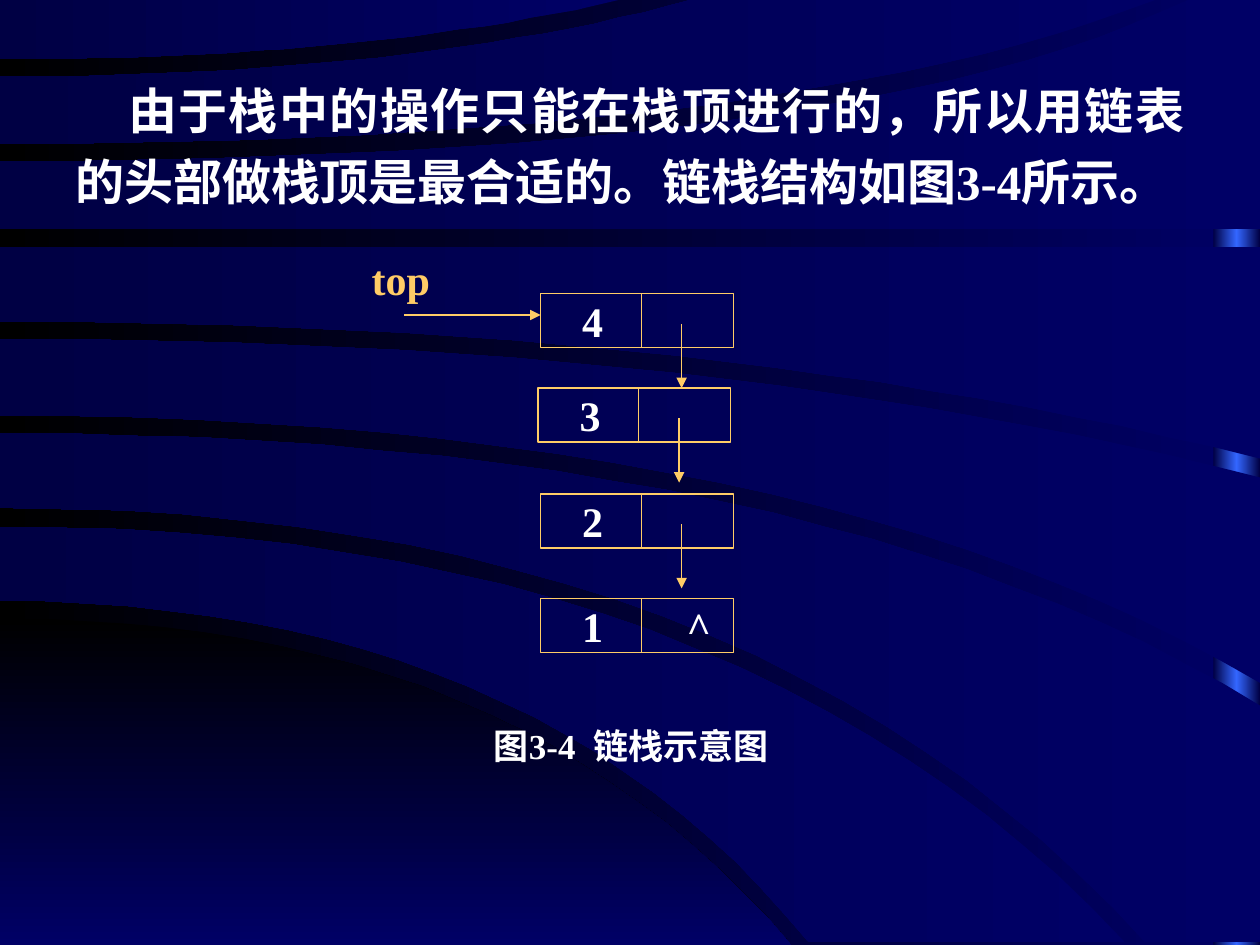
"""Build the slide on linked stacks: curved backdrop, paragraph and node diagram."""
from copy import deepcopy
from pptx import Presentation
from pptx import util as u
from pptx.dml.color import RGBColor
from pptx.enum import shapes, text
from pptx.oxml import ns
from lxml import etree

THEME = dict(
    font="Times New Roman", white="FFFFFF", gold="FFCC66",
    navy="000066", dusk="000044", black="000000", blue="3366FF",
    body=28, node=24, note=20, rule=0.75,
)

deck = Presentation()
deck.slide_width, deck.slide_height = u.Inches(10), u.Inches(7.5)
cell = deck.slide_width // 1000
slide = deck.slides.add_slide(deck.slide_layouts[6])
pool = slide.shapes
gold = RGBColor.from_string(THEME["gold"])


def blend(fill, node, names, angle):
    fill.gradient()
    fill.gradient_angle = angle
    stops = next(node.iter(ns.qn("a:gsLst")))
    while len(stops) < len(names):
        stops.append(deepcopy(stops[0]))
    for i, (stop, name) in enumerate(zip(fill.gradient_stops, names)):
        stop.position = i / (len(names) - 1)
        stop.color.rgb = RGBColor.from_string(THEME[name])


def style(frame, size, color, left=0, top=0):
    frame.word_wrap = True
    frame.margin_left = frame.margin_right = left * cell
    frame.margin_top = frame.margin_bottom = top * cell
    for run in frame.paragraphs[0].runs:
        run.font.name, run.font.bold = THEME["font"], True
        run.font.size = u.Pt(THEME[size])
        run.font.color.rgb = RGBColor.from_string(THEME[color])


blend(slide.background.fill, slide.element, ("navy", "black"), 180)

strip = pool.add_shape(shapes.MSO_SHAPE.RECTANGLE, 963 * cell, 0, 37 * cell, 750 * cell)
strip.shadow.inherit = False
strip.line.fill.background()
blend(strip.fill, strip._element, ("dusk", "blue", "dusk"), 180)

# Each edge: start height, bend, end column, end row
bands = [
    ((491, 410, 628, 750), (750, 314, 628, 750)),
    ((418, 585, 893, 748), (477, 422, 642, 748)),
    ((344, 645, 1000, 560), (403, 597, 909, 748)),
    ((269, 570, 1000, 379), (330, 642, 1000, 542)),
    ((196, 500, 1000, 196), (255, 570, 1000, 364)),
    ((128, 680, 943, 0), (182, 500, 1000, 182)),
    ((61, 328, 548, 0), (114, 622, 917, 0)),
    ((0, 245, 491, 0), (47, 288, 491, 0)),
]
steps = [i / 24 for i in range(25)]
for i, pair in enumerate(bands):
    over, under = [
        [(2 * t * (1 - t) * bend + t * t * x, y0 + (y - y0) * t * t) for t in steps]
        for y0, bend, x, y in pair
    ]
    ends = sorted((over[-1], under[-1]))
    corner = (ends[1][0], ends[0][1])
    pen = pool.build_freeform(*over[0], scale=cell)
    pen.add_line_segments(over[1:] + [corner] + under[::-1], close=True)
    band = pen.convert_to_shape()
    band.shadow.inherit = False
    band.line.fill.background()
    names, angle = (("navy", "dusk"), 180) if i else (("black", "navy"), 270)
    blend(band.fill, band._element, names, angle)

notes = [
    (50, 50, 900, 583, "body", "white", 10, 5,
     "由于栈中的操作只能在栈顶进行的，所以用链表的头部做栈顶是最合适的。链栈结构如图3-4所示。"),
    (392, 575, 226, 43, "note", "white", 0, 0, "图3-4  链栈示意图"),
    (295, 201, 82, 41, "node", "gold", 0, 0, "top"),
]
for x, y, w, h, size, color, left, top, words in notes:
    frame = pool.add_textbox(x * cell, y * cell, w * cell, h * cell).text_frame
    frame.text = words
    style(frame, size, color, left, top)
    if size == "body":
        para = frame.paragraphs[0]
        para.alignment = text.PP_ALIGN.JUSTIFY
        para.line_spacing, para.space_before = 1.2, u.Pt(7)
        para._p.get_or_add_pPr().set("indent", str(42 * cell))

wide, high = 153, 43
wires = [(321, 250, 429, 250, True)]
for x, y, words in [(429, 233, "4"), (427, 308, "3"), (429, 392, "2"), (429, 475, "1\t^")]:
    box = pool.add_shape(shapes.MSO_SHAPE.RECTANGLE, x * cell, y * cell, wide * cell, high * cell)
    box.shadow.inherit = False
    box.fill.background()
    box.line.color.rgb = gold
    box.line.width = u.Pt(THEME["rule"])
    frame = box.text_frame
    frame.text = words
    style(frame, "node", "white")
    frame.margin_left = 33 * cell
    frame.vertical_anchor = text.MSO_ANCHOR.MIDDLE
    para = frame.paragraphs[0]
    para.alignment = text.PP_ALIGN.LEFT
    wires.append((x + 80, y, x + 80, y + high, False))
    if "\t" in words:
        tabs = etree.SubElement(para._p.get_or_add_pPr(), ns.qn("a:tabLst"))
        etree.SubElement(tabs, ns.qn("a:tab"), pos=str(83 * cell), algn="l")
    else:
        wires.append((x + 112, y + 24, x + 112, y + 75, True))

for x1, y1, x2, y2, arrow in wires:
    wire = pool.add_connector(shapes.MSO_CONNECTOR.STRAIGHT, x1 * cell, y1 * cell, x2 * cell, y2 * cell)
    wire.line.color.rgb = gold
    wire.line.width = u.Pt(THEME["rule"])
    if arrow:
        etree.SubElement(wire._element.spPr.get_or_add_ln(), ns.qn("a:tailEnd"), type="triangle")
    etree.SubElement(wire._element.spPr, ns.qn("a:effectLst"))

deck.save("out.pptx")
